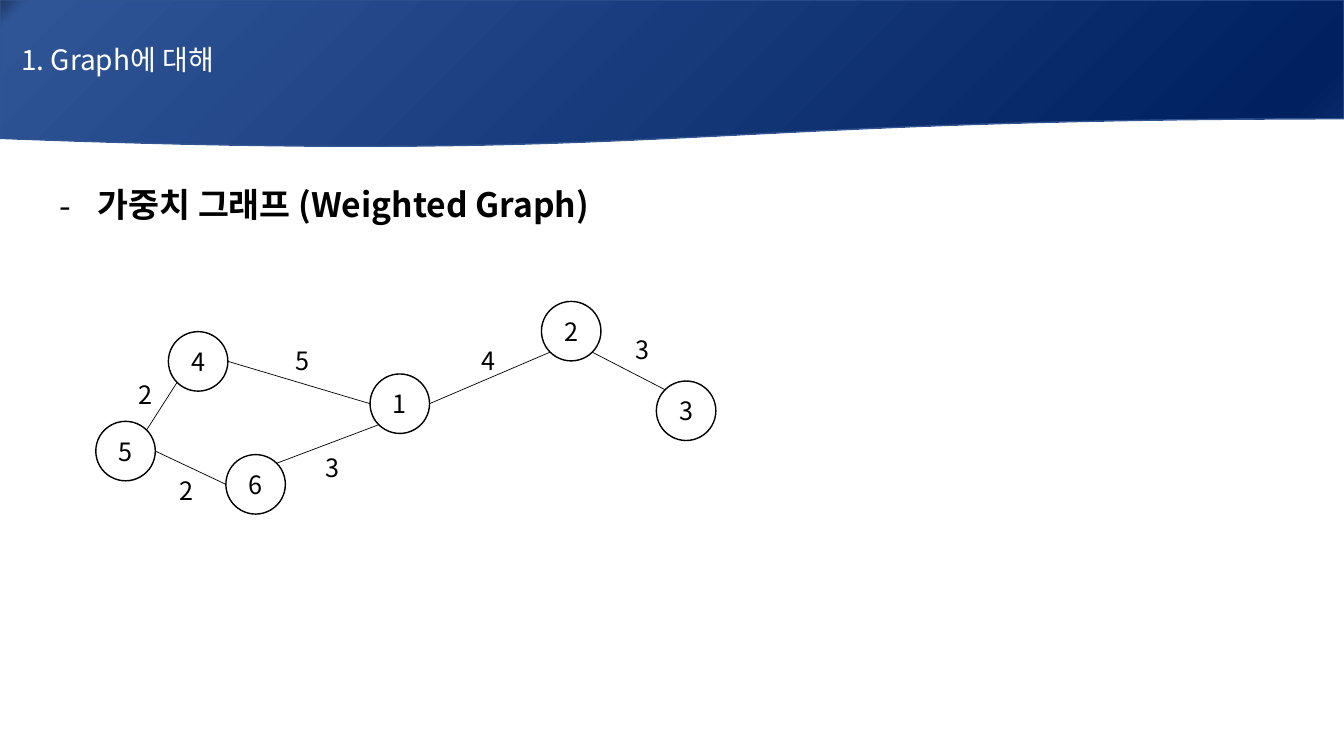
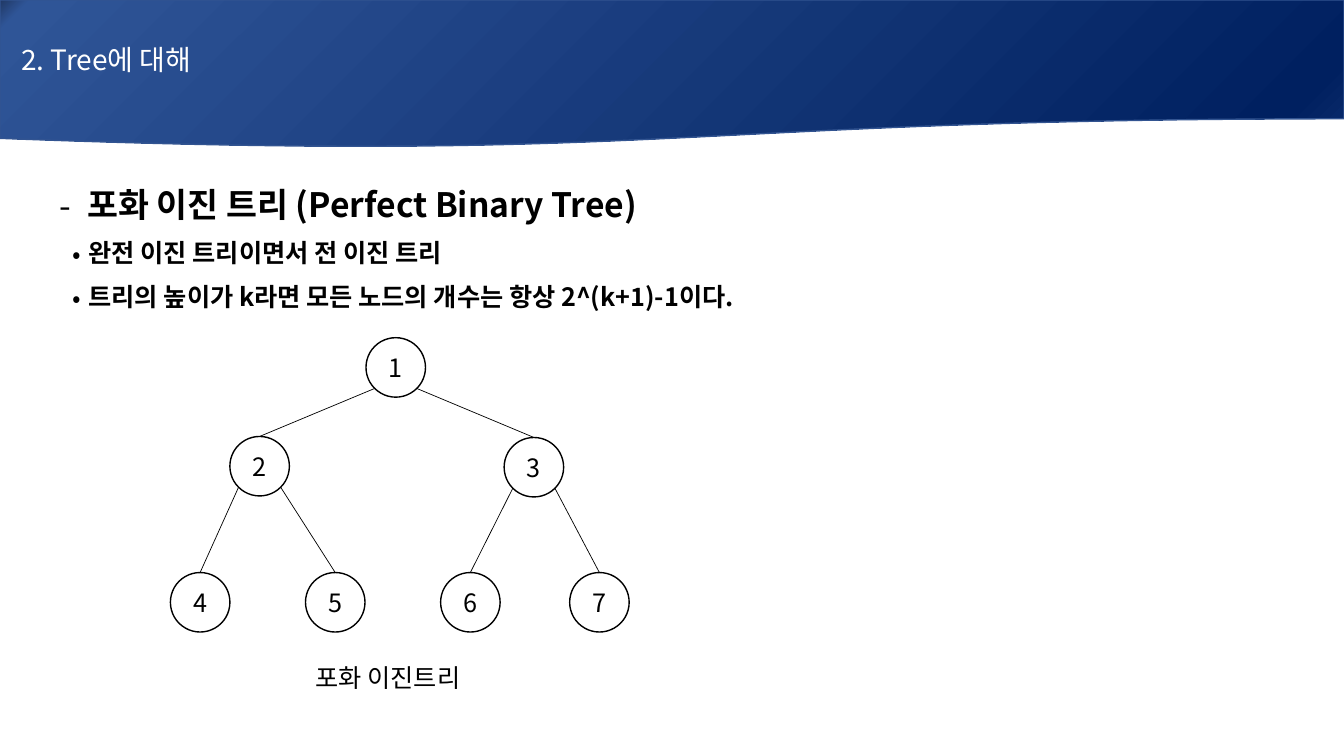
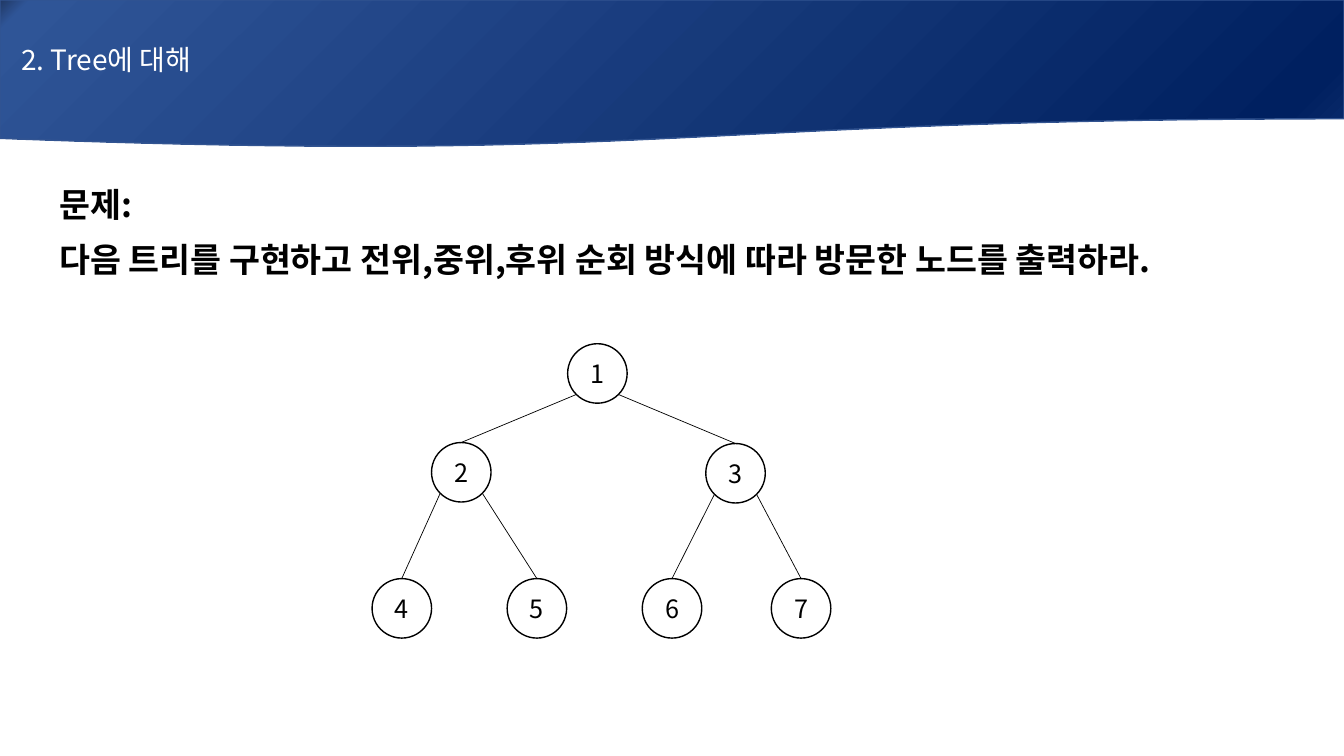
import copy
import math

import lxml.etree
import pptx
import pptx.dml.color
import pptx.enum.shapes
import pptx.enum.text
import pptx.oxml.ns
import pptx.util

Inches = pptx.util.Inches
Pt = pptx.util.Pt
qn = pptx.oxml.ns.qn

COLORS = {"ink": "000000", "paper": "FFFFFF", "band_edge": "325491"}
BAND_STOPS = [(0, "203864"), (0.02, "2F5597"), (0.94, "002060"), (1, "0D2E6F")]
FONT = "Noto Sans CJK KR"
NODE_SIZE = 0.59
TOP, TOP_LEFT, LEFT, BOTTOM_LEFT, BOTTOM, BOTTOM_RIGHT, RIGHT, TOP_RIGHT = range(8)

TREE_NODES = {
    1: (1.94, 0),
    2: (0.59, 0.98), 3: (3.31, 0.99),
    4: (0, 2.33), 5: (1.34, 2.33), 6: (2.68, 2.33), 7: (3.96, 2.33),
}


def rgb(name):
    return pptx.dml.color.RGBColor.from_string(COLORS.get(name, name))


def apply(target, values):
    for name, value in values.items():
        setattr(target, name, value)


class Deck:
    def __init__(self):
        self.prs = pptx.Presentation()
        apply(self.prs, {"slide_width": Inches(13.33), "slide_height": Inches(7.5)})
        self.slide = None

    def start_slide(self, title):
        self.slide = self.prs.slides.add_slide(self.prs.slide_layouts[6])
        band = self.outlined(pptx.enum.shapes.MSO_SHAPE.FLOWCHART_DOCUMENT,
                             0, 0, 13.33, 1.47, "band_edge")
        band.fill.gradient()
        band.fill.gradient_angle = 315
        stops = band._element.spPr.find(".//" + qn("a:gsLst"))
        while len(stops) < len(BAND_STOPS):
            stops.append(copy.deepcopy(stops[-1]))
        for stop, (position, color) in zip(band.fill.gradient_stops, BAND_STOPS):
            stop.color.rgb = rgb(color)
            stop.position = position
        band.text_frame.margin_left = Inches(0.21)
        self.add_text(band.text_frame.paragraphs[0], title, 20, color="paper")

    def outlined(self, preset, left, top, width, height, edge):
        shape = self.slide.shapes.add_shape(
            preset, Inches(left), Inches(top), Inches(width), Inches(height))
        shape.shadow.inherit = False
        shape.line.color.rgb = rgb(edge)
        shape.line.width = Pt(1)
        shape.text_frame.vertical_anchor = pptx.enum.text.MSO_ANCHOR.MIDDLE
        return shape

    def add_text(self, paragraph, text, size, color="ink", bold=False,
                 align=pptx.enum.text.PP_ALIGN.LEFT):
        paragraph.alignment = align
        run = paragraph.add_run()
        run.text = text
        apply(run.font, {"name": FONT, "size": Pt(size), "bold": bold})
        run.font.color.rgb = rgb(color)
        east_asian = lxml.etree.SubElement(run._r.get_or_add_rPr(), qn("a:ea"))
        east_asian.set("typeface", FONT)

    def text_area(self, left, top, width, height):
        area = self.slide.shapes.add_textbox(
            Inches(left), Inches(top), Inches(width), Inches(height))
        apply(area.text_frame, {
            "word_wrap": True,
            "auto_size": pptx.enum.text.MSO_AUTO_SIZE.SHAPE_TO_FIT_TEXT,
        })
        return area.text_frame

    def label(self, text, left, top, width=0.42):
        self.add_text(self.text_area(left, top, width, 0.4).paragraphs[0], text, 18)

    def body(self, lines, height):
        frame = self.text_area(0.49, 1.75, 12.84, height)
        for index, (text, size, bullet) in enumerate(lines):
            paragraph = frame.add_paragraph() if index else frame.paragraphs[0]
            apply(paragraph, {"line_spacing": 1.07, "space_after": Pt(8)})
            self.add_text(paragraph, text, size, bold=True,
                          align=pptx.enum.text.PP_ALIGN.JUSTIFY)
            if bullet:
                self.bullet(paragraph, *bullet)

    def bullet(self, paragraph, mark, margin, hanging):
        properties = paragraph._p.get_or_add_pPr()
        properties.set("marL", str(Inches(margin)))
        properties.set("indent", str(-Inches(hanging)))
        for tag, name, value in (("a:buFont", "typeface", FONT),
                                 ("a:buChar", "char", mark)):
            lxml.etree.SubElement(properties, qn(tag)).set(name, value)

    def node(self, number, left, top):
        circle = self.outlined(pptx.enum.shapes.MSO_SHAPE.OVAL,
                               left, top, NODE_SIZE, NODE_SIZE, "ink")
        circle.fill.solid()
        circle.fill.fore_color.rgb = rgb("paper")
        self.add_text(circle.text_frame.paragraphs[0], str(number), 18,
                      align=pptx.enum.text.PP_ALIGN.CENTER)
        return circle

    def site_point(self, circle, site):
        angle = math.radians(90 + 45 * site)
        radius = circle.width / 2
        return (round(circle.left + radius * (1 + math.cos(angle))),
                round(circle.top + radius * (1 - math.sin(angle))))

    def edge(self, start, start_site, end, end_site):
        link = self.slide.shapes.add_connector(
            pptx.enum.shapes.MSO_CONNECTOR.STRAIGHT,
            *self.site_point(start, start_site), *self.site_point(end, end_site))
        link.line.color.rgb = rgb("ink")
        link.line.width = Pt(0.5)
        lxml.etree.SubElement(link._element.spPr, qn("a:effectLst"))
        joints = link._element.find(".//" + qn("p:cNvCxnSpPr"))
        for tag, circle, site in (("a:stCxn", start, start_site),
                                  ("a:endCxn", end, end_site)):
            joint = lxml.etree.SubElement(joints, qn(tag))
            joint.set("id", str(circle.shape_id))
            joint.set("idx", str(site))

    def graph(self, places, edges):
        nodes = {number: self.node(number, *place) for number, place in places.items()}
        for start, start_site, end, end_site in edges:
            self.edge(nodes[start], start_site, nodes[end], end_site)

    def binary_tree(self, left, top):
        places = {number: (left + x, top + y) for number, (x, y) in TREE_NODES.items()}
        edges = [(child // 2, BOTTOM_RIGHT if child % 2 else BOTTOM_LEFT, child, TOP)
                 for child in places if child > 1]
        self.graph(places, edges)


def main():
    deck = Deck()

    deck.start_slide("1. Graph에 대해")
    deck.body([("가중치 그래프 (Weighted Graph)", 24, ("-", 0.38, 0.38))], 1.04)
    deck.graph(
        {4: (1.67, 3.29), 1: (3.67, 3.71), 3: (6.51, 3.78),
         2: (5.37, 2.99), 6: (2.24, 4.51), 5: (0.95, 4.18)},
        [(5, TOP_RIGHT, 4, BOTTOM_LEFT), (5, RIGHT, 6, LEFT),
         (6, TOP_RIGHT, 1, BOTTOM_LEFT), (4, RIGHT, 1, LEFT),
         (1, RIGHT, 2, BOTTOM_LEFT), (2, BOTTOM_RIGHT, 3, TOP_LEFT)])
    for weight, left, top in (("5", 2.83, 3.38), ("2", 1.28, 3.71), ("2", 1.68, 4.67),
                              ("3", 3.13, 4.44), ("4", 4.68, 3.38), ("3", 6.2, 3.27)):
        deck.label(weight, left, top)

    deck.start_slide("2. Tree에 대해")
    detail = ("•", 0.29, 0.16)
    deck.body([
        ("포화 이진 트리 (Perfect Binary Tree)", 24, ("-", 0.28, 0.28)),
        ("완전 이진 트리이면서 전 이진 트리", 18, detail),
        ("트리의 높이가 k라면 모든 노드의 개수는 항상 2^(k+1)-1이다.", 18, detail),
    ], 1.82)
    deck.binary_tree(1.69, 3.35)
    deck.label("포화 이진트리", 3.03, 6.52, 3.79)

    deck.start_slide("2. Tree에 대해")
    deck.body([
        ("문제:", 24, None),
        ("다음 트리를 구현하고 전위,중위,후위 순회 방식에 따라 방문한 노드를 출력하라.", 24, None),
    ], 1.92)
    deck.binary_tree(3.69, 3.41)

    deck.prs.save("out.pptx")


if __name__ == "__main__":
    main()
